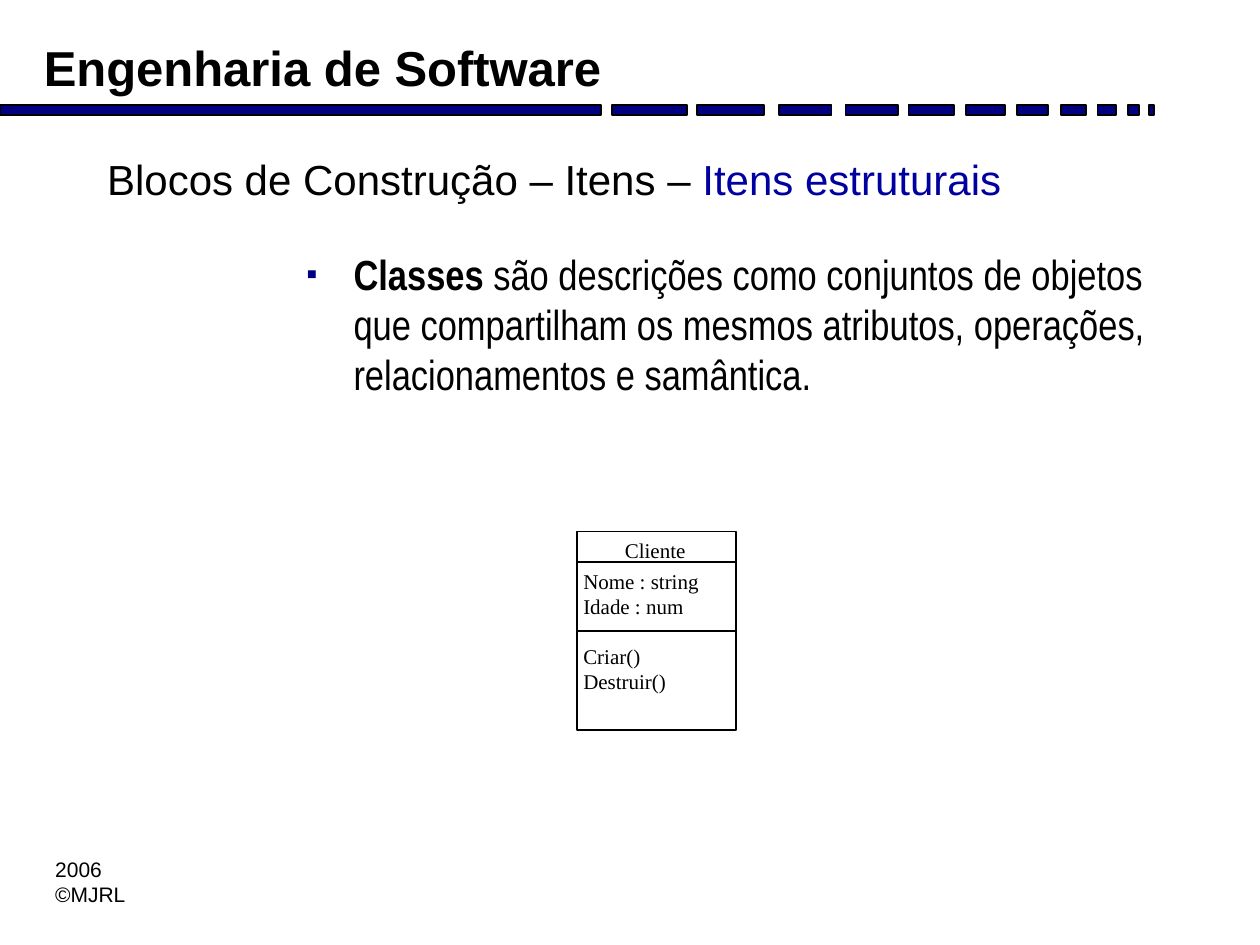
from lxml import etree
from pptx import Presentation
from pptx.dml.color import RGBColor
from pptx.enum.shapes import MSO_CONNECTOR, MSO_SHAPE
from pptx.enum.text import MSO_ANCHOR, MSO_AUTO_SIZE, PP_ALIGN
from pptx.oxml.ns import qn
from pptx.util import Pt

RECT = MSO_SHAPE.RECTANGLE
LINE = MSO_CONNECTOR.STRAIGHT
TOP = MSO_ANCHOR.TOP
LEFT = PP_ALIGN.LEFT
FIXED = MSO_AUTO_SIZE.NONE

BLACK, WHITE, NAVY, BLUE = "000000", "FFFFFF", "000080", "0000A0"


def color(code):
    return RGBColor.from_string(code)


class Page:
    """Holds the slide and the look of its parts."""

    head = dict(name="Arial", size=Pt(28), bold=True)
    title = dict(name="Arial", size=Pt(24), bold=False)
    body = dict(name="Arial Narrow", size=Pt(24), bold=False)
    foot = dict(name="Arial", size=Pt(12), bold=False)
    uml = dict(name="Times New Roman", size=Pt(12), bold=False)

    def __init__(self, deck):
        self.slide = deck.slides.add_slide(deck.slide_layouts[1])
        self.shapes = self.slide.shapes

    def place(self, shape, x, y, w, h):
        spots = dict(left=Pt(x), top=Pt(y), width=Pt(w), height=Pt(h))
        for key, val in spots.items():
            setattr(shape, key, val)

    def frame(self, shape, wrap):
        looks = dict(word_wrap=wrap, auto_size=FIXED, vertical_anchor=TOP)
        for key, val in looks.items():
            setattr(shape.text_frame, key, val)
        return shape.text_frame

    def run(self, para, text, style, tint=BLACK, **more):
        run = para.add_run()
        run.text = text
        for key, val in {**style, **more}.items():
            setattr(run.font, key, val)
        run.font.color.rgb = color(tint)

    def holder(self, index, box):
        shape = self.slide.placeholders[index]
        self.place(shape, *box)
        para = self.frame(shape, True).paragraphs[0]
        para.alignment = LEFT
        para.space_before = Pt(0)
        return para

    def bullet(self, para, char, tint, indent):
        props = para._p.get_or_add_pPr()
        props.set("marL", str(Pt(indent)))
        props.set("indent", str(-Pt(indent)))
        hue = etree.SubElement(props, qn("a:buClr"))
        etree.SubElement(hue, qn("a:srgbClr"), val=tint)
        etree.SubElement(props, qn("a:buSzPct"), val="75000")
        etree.SubElement(props, qn("a:buFont"), typeface="Arial")
        etree.SubElement(props, qn("a:buChar"), char=char)

    def text(self, box, lines, style, wrap=False, gaps=None):
        shape = self.shapes.add_textbox(*map(Pt, box))
        frame = self.frame(shape, wrap)
        for i, line in enumerate(lines):
            para = frame.add_paragraph() if i else frame.paragraphs[0]
            para.alignment = LEFT
            if gaps and i in gaps:
                para.space_before = Pt(gaps[i])
            self.run(para, line, style)

    def rect(self, box, fill):
        shape = self.shapes.add_shape(RECT, *map(Pt, box))
        shape.shadow.inherit = False
        shape.fill.solid()
        shape.fill.fore_color.rgb = color(fill)
        shape.line.color.rgb = color(BLACK)
        shape.line.width = Pt(1)
        return shape

    def line(self, x, y, end):
        line = self.shapes.add_connector(LINE, Pt(x), Pt(y), Pt(end), Pt(y))
        line.line.color.rgb = color(BLACK)
        line.line.width = Pt(1)
        etree.SubElement(line._element.spPr, qn("a:effectLst"))
        return line


def main():
    deck = Presentation()
    deck.slide_width, deck.slide_height = Pt(720), Pt(540)
    page = Page(deck)

    # Header with its broken bar: left edge and width of each piece
    bars = [(0, 343.4), (349.9, 42.5), (398.2, 38.2), (445, 30.2),
            (483.1, 30.2), (519.1, 25.9), (552.2, 22.3), (581, 18),
            (606.2, 14.4), (627.1, 10.8), (644.4, 6.5), (656.6, 2.9)]
    for x, w in bars:
        page.rect((x, 59.8, w, 5.8), NAVY)
    page.text((18, 18, 348, 40), ["Engenharia de Software"], page.head, True)

    # Footer
    page.text((24.5, 486, 54.7, 36), ["2006", "©MJRL"], page.foot)

    # Title
    para = page.holder(0, (54, 84.2, 612, 54))
    page.run(para, "Blocos de Construção – Itens – ", page.title)
    page.run(para, "Itens estruturais", page.title, BLUE)

    # Definition
    para = page.holder(1, (167.8, 138.2, 504, 137.5))
    page.bullet(para, "▪", NAVY, 27)
    page.run(para, "Classes", page.body, bold=True)
    page.run(para, " são descrições como conjuntos de objetos que "
             "compartilham os mesmos atributos, operações, "
             "relacionamentos e samântica.", page.body)

    # Class diagram; the lower rule joins the middle of both sides
    x, y, w, h = 329.8, 303.8, 90.7, 113.4
    card = page.rect((x, y, w, h), WHITE)
    page.text((350, y, 49, 21.6), ["Cliente"], page.uml)
    page.line(x, 321.1, x + w)
    rule = page.line(x, y + h / 2, x + w)
    rule.begin_connect(card, 1)
    rule.end_connect(card, 3)
    page.text((326.2, 321.1, 79.9, 79.2),
              ["Nome : string", "Idade : num", "Criar()", "Destruir()"],
              page.uml, gaps={2: 14.3})

    deck.save("out.pptx")


if __name__ == "__main__":
    main()
